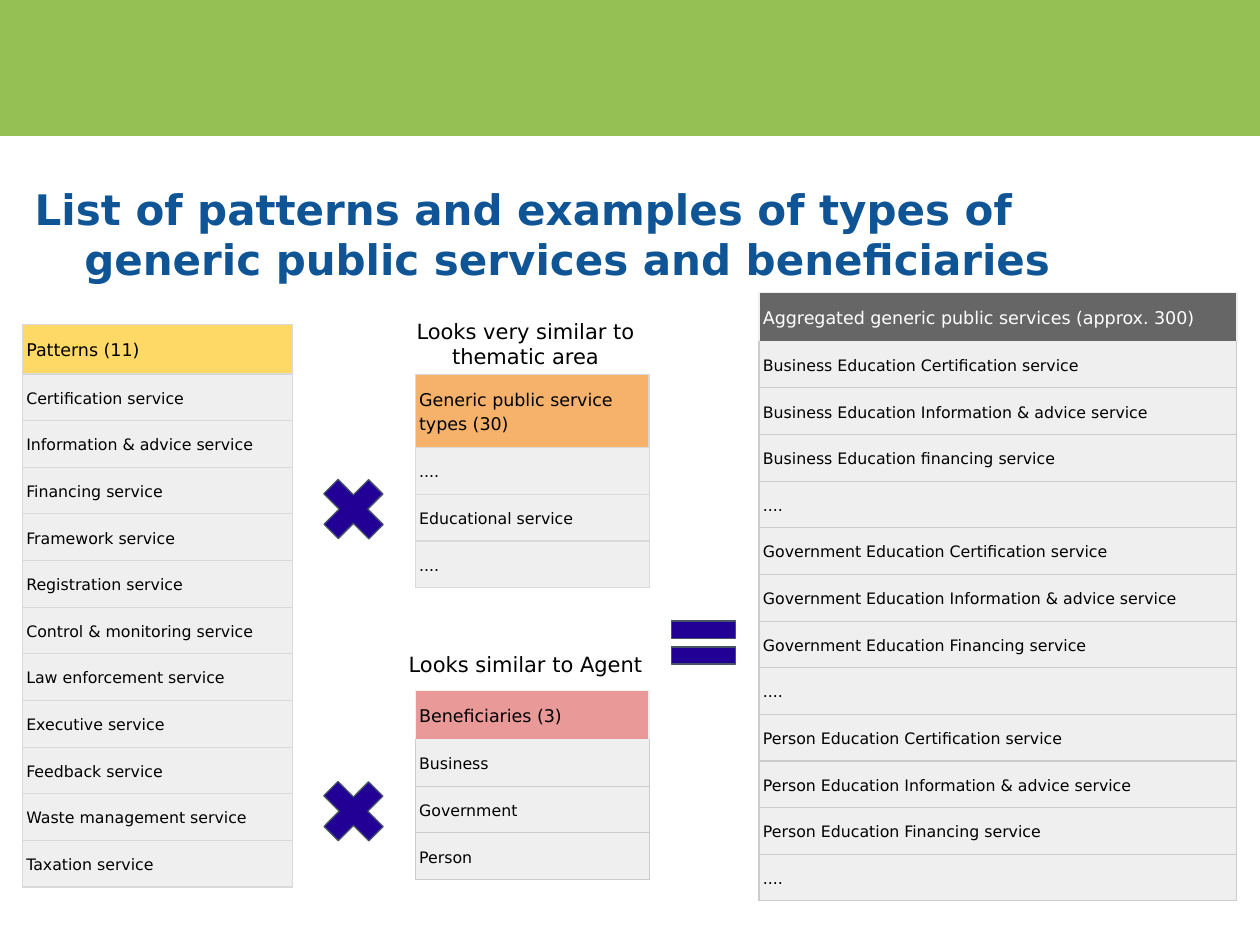
from lxml import etree
from pptx import Presentation
from pptx.dml.color import RGBColor
from pptx.enum.shapes import MSO_SHAPE
from pptx.enum.text import MSO_ANCHOR, PP_ALIGN
from pptx.oxml.ns import qn
from pptx.util import Cm, Pt

RECT, PLUS, EQUAL = MSO_SHAPE.RECTANGLE, MSO_SHAPE.MATH_PLUS, MSO_SHAPE.MATH_EQUAL
MIDDLE, TOP = MSO_ANCHOR.MIDDLE, MSO_ANCHOR.TOP
LEFT, CENTER = PP_ALIGN.LEFT, PP_ALIGN.CENTER
FONT = "DejaVu Sans"

COLORS = {
    "band": "95C154", "title": "0F5494", "black": "000000", "white": "FFFFFF",
    "yellow": "FFD966", "orange": "F6B26B", "pink": "EA9999", "dark": "666666",
    "row": "EFEFEF", "grid": "D9D9D9", "grid_dark": "CCCCCC",
    "operator": "230095", "outline": "465466",
}

TITLE = ("List of patterns and examples of types of generic public services "
         "and beneficiaries")
PATTERNS = [
    "Certification", "Information & advice", "Financing", "Framework",
    "Registration", "Control & monitoring", "Law enforcement", "Executive",
    "Feedback", "Waste management", "Taxation",
]
AGGREGATED = [
    "Business Education Certification service",
    "Business Education Information & advice service",
    "Business Education financing service",
    "....",
    "Government Education Certification service",
    "Government Education Information & advice service",
    "Government Education Financing service",
    "....",
    "Person Education Certification service",
    "Person Education Information & advice service",
    "Person Education Financing service",
    "....",
]
HEAD_H, TALL_HEAD_H, ROW_H = 0.99, 1.44, 0.93
TABLES = [
    dict(at=(0.45, 6.55), width=5.44, head="Patterns (11)",
         rows=[f"{name} service" for name in PATTERNS], head_h=HEAD_H,
         fill="yellow", color="black", grid="grid", edge="grid", right=0.75),
    dict(at=(15.3, 5.89), width=9.63,
         head="Aggregated generic public services (approx. 300)",
         rows=AGGREGATED, head_h=HEAD_H,
         fill="dark", color="white", grid="grid_dark", edge="row", right=1.5),
    dict(at=(8.37, 7.55), width=4.72, head="Generic public service types (30)",
         rows=["....", "Educational service", "...."], head_h=TALL_HEAD_H,
         fill="orange", color="black", grid="grid", edge="grid", right=1.5),
    dict(at=(8.37, 13.92), width=4.72, head="Beneficiaries (3)",
         rows=["Business", "Government", "Person"], head_h=HEAD_H,
         fill="pink", color="black", grid="grid_dark", edge="row", right=1.5),
]
OPERATORS = [
    (PLUS, (6.25, 9.4, 1.75, 1.73), 45),
    (PLUS, (6.25, 15.49, 1.75, 1.73), 45),
    (EQUAL, (13.31, 12.22, 1.75, 1.47), 0),
]
CAPTIONS = [
    ("Looks very similar to thematic area", (7.42, 6.17, 6.35, 1.47)),
    ("Looks similar to Agent", (7.42, 12.88, 6.35, 1.04)),
]


def rgb(name):
    return RGBColor.from_string(COLORS[name])


def set_all(target, values):
    for name, value in values.items():
        setattr(target, name, value)


def write(tf, text, size, color, bold=False, align=LEFT):
    p = tf.paragraphs[0]
    p.alignment = align
    r = p.add_run()
    r.text = text
    set_all(r.font, dict(name=FONT, size=Pt(size), bold=bold))
    r.font.color.rgb = rgb(color)
    return p


def add_text(text, box, size, color, pad_y, anchor, **style):
    tf = s.shapes.add_textbox(*map(Cm, box)).text_frame
    set_all(tf, dict(word_wrap=True, vertical_anchor=anchor,
                     margin_left=Cm(0.25), margin_right=Cm(0.25),
                     margin_top=Cm(pad_y), margin_bottom=Cm(pad_y)))
    return write(tf, text, size, color, **style)


def add_shape(kind, box, fill, line=None, rotation=0):
    sp = s.shapes.add_shape(kind, *map(Cm, box))
    sp.shadow.inherit = False
    sp.rotation = rotation
    sp.fill.solid()
    sp.fill.fore_color.rgb = rgb(fill)
    if line:
        sp.line.color.rgb = rgb(line)
        sp.line.width = Pt(0.75)
    else:
        sp.line.fill.background()


def set_borders(cell, borders):
    tc_pr = cell._tc.get_or_add_tcPr()
    for side in "LRTB":
        color, width = borders[side]
        ln = etree.SubElement(tc_pr, qn(f"a:ln{side}"), w=str(Pt(width)))
        fill = etree.SubElement(ln, qn("a:solidFill"))
        etree.SubElement(fill, qn("a:srgbClr"), val=COLORS[color])


def add_table(spec):
    texts = [spec["head"]] + spec["rows"]
    heights = [spec["head_h"]] + [ROW_H] * len(spec["rows"])
    box = (*spec["at"], spec["width"], sum(heights))
    table = s.shapes.add_table(len(texts), 1, *map(Cm, box)).table
    set_all(table, dict(first_row=False, horz_banding=False))
    for i, (text, height) in enumerate(zip(texts, heights)):
        table.rows[i].height = Cm(height)
        cell = table.cell(i, 0)
        is_head = i == 0
        borders = dict.fromkeys("LRTB", (spec["edge" if is_head else "grid"], 0.75))
        if is_head:
            borders["R"] = (spec["edge"], spec["right"])
        elif i == 1:
            borders["T"] = (spec["edge"], 0.75)
        set_borders(cell, borders)
        cell.fill.solid()
        cell.fill.fore_color.rgb = rgb(spec["fill"] if is_head else "row")
        set_all(cell, dict(vertical_anchor=MIDDLE,
                           margin_left=Cm(0.08), margin_right=Cm(0.08),
                           margin_top=Cm(0.25), margin_bottom=Cm(0.25)))
        p = write(cell.text_frame, text, 10 if is_head else 9,
                  spec["color"] if is_head else "black")
        p.line_spacing = 1.15


prs = Presentation()
set_all(prs, dict(slide_width=Cm(25.4), slide_height=Cm(19.05)))
s = prs.slides.add_slide(prs.slide_layouts[6])

add_shape(RECT, (0, 0, 25.4, 2.74), "band")
title = add_text(TITLE, (0.45, 3.56, 22.86, 2.31), 24, "title", 0.13, MIDDLE, bold=True)
p_pr = title._p.get_or_add_pPr()
p_pr.set("marL", str(Cm(1)))
p_pr.set("indent", str(Cm(-1)))

for table_spec in TABLES:
    add_table(table_spec)
for kind, box, rotation in OPERATORS:
    add_shape(kind, box, "operator", "outline", rotation)
for text, box in CAPTIONS:
    add_text(text, box, 12, "black", 0.25, TOP, align=CENTER)

prs.save("out.pptx")
